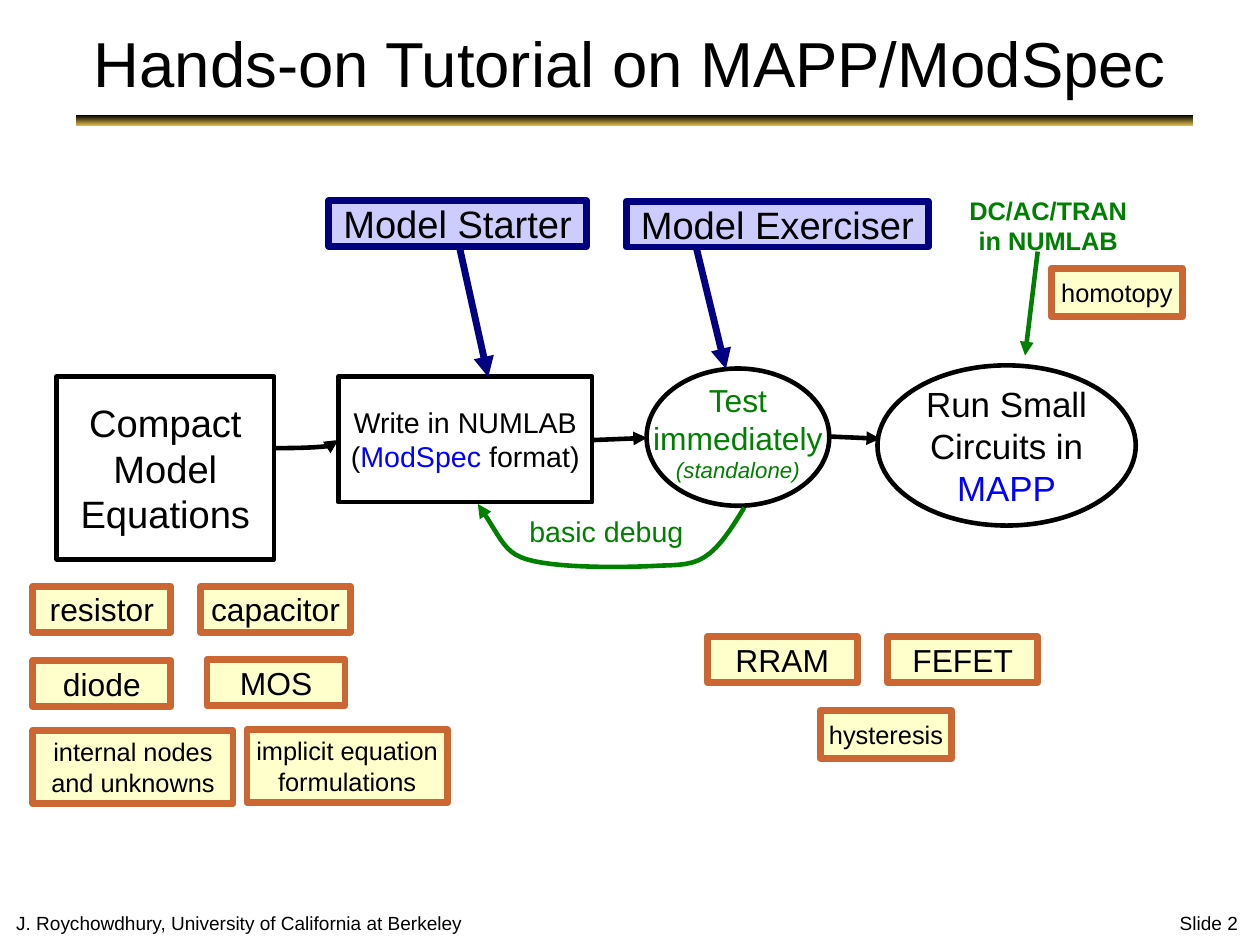
from lxml import etree
from pptx import Presentation
from pptx.dml.color import RGBColor
from pptx.enum import shapes, text
from pptx.oxml import ns
from pptx.util import Cm, Pt

COLORS = {
    "black": "000000", "blue": "0000FF", "green": "008000", "navy": "000080",
    "lilac": "CCCCFF", "orange": "CC6633", "cream": "FFFFCC", "gold": "EFC64A",
}
RGB = {name: RGBColor.from_string(value) for name, value in COLORS.items()}
THIN, THICK = Pt(2.89), Pt(4.31)
RECT, OVAL = shapes.MSO_SHAPE.RECTANGLE, shapes.MSO_SHAPE.OVAL
STRAIGHT, CURVE = shapes.MSO_CONNECTOR.STRAIGHT, shapes.MSO_CONNECTOR.CURVE
LEFT, CENTER, RIGHT = text.PP_ALIGN.LEFT, text.PP_ALIGN.CENTER, text.PP_ALIGN.RIGHT


def write(box, words, size, color="black", align=CENTER, wrap=False):
    """Fill a box with lines; every second span between bars is blue."""
    frame = box.text_frame
    frame.text = words.replace("|", "")
    frame.word_wrap = wrap
    frame.vertical_anchor = text.MSO_ANCHOR.MIDDLE
    frame.margin_left = frame.margin_right = frame.margin_top = frame.margin_bottom = 0
    for para, line in zip(frame.paragraphs, words.split("\n")):
        para.text = ""
        para.alignment = align
        for index, part in enumerate(line.split("|")):
            if part:
                span = para.add_run()
                span.text = part
                span.font.name = "Arial"
                span.font.size = Pt(size)
                span.font.color.rgb = RGB["blue" if index % 2 else color]


def style_arrow(arrow, color, width):
    arrow.line.color.rgb = RGB[color]
    arrow.line.width = width
    line = arrow.element.spPr.find(ns.qn("a:ln"))
    etree.SubElement(line, ns.qn("a:tailEnd"), type="triangle")


deck = Presentation()
deck.slide_width, deck.slide_height = Cm(28), Cm(21)
page = deck.slides.add_slide(deck.slide_layouts[6])

# Title, rule and footer
rule = page.shapes.add_shape(RECT, Cm(1.7), Cm(2.56), Cm(24.82), Cm(0.25))
rule.shadow.inherit = False
rule.line.fill.background()
rule.fill.gradient()
rule.fill.gradient_angle = 90
for stop, color in zip(rule.fill.gradient_stops, ("gold", "black")):
    stop.color.rgb = RGB[color]

for words, x, y, w, h, size, align in [
    ("Hands-on Tutorial on MAPP/ModSpec", 1.27, 0.46, 25.45, 1.85, 40, CENTER),
    ("J. Roychowdhury, University of California at Berkeley",
     0.36, 20.26, 23.2, 0.48, 12, LEFT),
    ("Slide 2", 23.57, 20.26, 3.94, 0.48, 12, RIGHT),
]:
    box = page.shapes.add_textbox(Cm(x), Cm(y), Cm(w), Cm(h))
    write(box, words, size, align=align, wrap=True)

# Workflow steps
for words, kind, x, y, w, h, size, color in [
    ("Compact\nModel\nEquations", RECT, 1.26, 8.37, 4.83, 4.06, 24, "black"),
    ("Write in NUMLAB\n(|ModSpec| format)", RECT, 7.52, 8.37, 5.64, 2.79, 18, "black"),
    ("Run Small\nCircuits in\n|MAPP", OVAL, 19.5, 8.12, 5.74, 3.56, 22, "black"),
    ("Test\nimmediately\n(standalone)", OVAL, 14.37, 8.19, 4.06, 3.05, 20, "green"),
]:
    step = page.shapes.add_shape(kind, Cm(x), Cm(y), Cm(w), Cm(h))
    step.shadow.inherit = False
    step.fill.background()
    step.line.color.rgb = RGB["black"]
    step.line.width = THIN
    write(step, words, size, color)
step.text_frame.margin_bottom = Cm(0.24)
standalone = step.text_frame.paragraphs[-1].runs[0].font
standalone.size, standalone.italic = Pt(14), True

# Green labels
for words, x, y, w, h, size, bold in [
    ("basic debug", 11.76, 11.45, 3.43, 0.71, 18, False),
    ("DC/AC/TRAN\nin NUMLAB", 21.54, 4.39, 3.51, 1.24, 16, True),
]:
    label = page.shapes.add_textbox(Cm(x), Cm(y), Cm(w), Cm(h))
    write(label, words, size, "green")
    for para in label.text_frame.paragraphs:
        para.runs[0].font.bold = bold

# Tools (navy) and examples (orange)
TOOL, EXAMPLE = ("lilac", "navy"), ("cream", "orange")
for words, x, y, w, h, size, (fill, edge) in [
    ("Model Starter", 7.31, 4.46, 5.72, 1.02, 24, TOOL),
    ("Model Exerciser", 13.92, 4.47, 6.71, 1.02, 24, TOOL),
    ("resistor", 0.73, 13.03, 3.07, 1.02, 20, EXAMPLE),
    ("capacitor", 4.46, 13.03, 3.33, 1.02, 20, EXAMPLE),
    ("diode", 0.73, 14.68, 3.07, 1.02, 20, EXAMPLE),
    ("MOS", 4.6, 14.66, 3.07, 1.02, 20, EXAMPLE),
    ("internal nodes\nand unknowns", 0.73, 16.23, 4.45, 1.63, 16, EXAMPLE),
    ("implicit equation\nformulations", 5.49, 16.21, 4.45, 1.63, 16, EXAMPLE),
    ("RRAM", 15.72, 14.15, 3.33, 1.02, 20, EXAMPLE),
    ("FEFET", 19.73, 14.15, 3.33, 1.02, 20, EXAMPLE),
    ("hysteresis", 18.23, 15.79, 2.92, 1.07, 16, EXAMPLE),
    ("homotopy", 23.36, 5.97, 2.92, 1.07, 16, EXAMPLE),
]:
    tag = page.shapes.add_shape(RECT, Cm(x), Cm(y), Cm(w), Cm(h))
    tag.shadow.inherit = False
    tag.fill.solid()
    tag.fill.fore_color.rgb = RGB[fill]
    tag.line.color.rgb = RGB[edge]
    tag.line.width = THICK
    write(tag, words, size)

# Arrows
for kind, x1, y1, x2, y2, color, width in [
    (CURVE, 6.1, 9.96, 7.52, 9.78, "black", THIN),
    (STRAIGHT, 13.16, 9.78, 14.38, 9.73, "black", THIN),
    (STRAIGHT, 18.4, 9.7, 19.56, 9.75, "black", THIN),
    (STRAIGHT, 23.06, 5.59, 22.78, 7.9, "green", THIN),
    (STRAIGHT, 10.21, 5.49, 10.85, 8.38, "navy", THICK),
    (STRAIGHT, 15.47, 5.49, 16.13, 8.2, "navy", THICK),
]:
    arrow = page.shapes.add_connector(kind, Cm(x1), Cm(y1), Cm(x2), Cm(y2))
    style_arrow(arrow, color, width)
    properties = arrow.element.spPr
    etree.SubElement(properties, ns.qn("a:effectLst"))
    if kind == CURVE:
        guides = properties.find(ns.qn("a:prstGeom")).find(ns.qn("a:avLst"))
        etree.SubElement(guides, ns.qn("a:gd"), name="adj1", fmla="val 100000")

# Debug loop: three Bézier curves from the test back to the model code
STEPS = 12
start = (16.54, 11.28)
loop = page.shapes.build_freeform(Cm(start[0]), Cm(start[1]))
points = []
for curve in [
    ((15.8, 12.52), (15.54, 12.55), (14.68, 12.57)),
    ((13.82, 12.62), (12.55, 12.62), (11.86, 12.47)),
    ((11.18, 12.32), (11.2, 12.04), (10.62, 11.2)),
]:
    for index in range(1, STEPS + 1):
        t = index / STEPS
        weights = ((1 - t) ** 3, 3 * t * (1 - t) ** 2, 3 * t * t * (1 - t), t ** 3)
        corners = list(zip(weights, (start, *curve)))
        points.append([Cm(sum(k * p[axis] for k, p in corners)) for axis in (0, 1)])
    start = curve[-1]
loop.add_line_segments(points, close=False)
debug_loop = loop.convert_to_shape()
debug_loop.shadow.inherit = False
debug_loop.fill.background()
style_arrow(debug_loop, "green", THIN)

deck.save("out.pptx")
